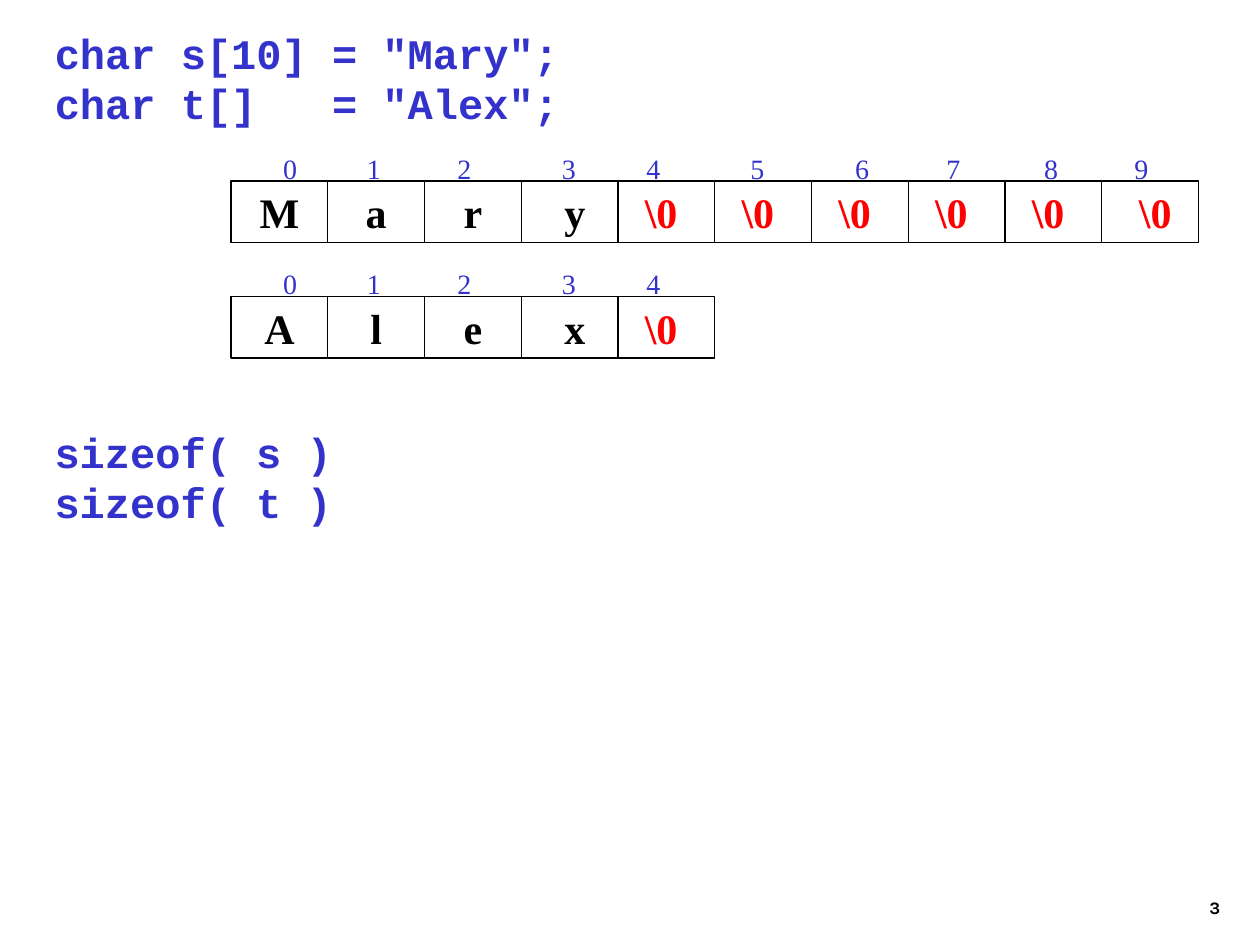
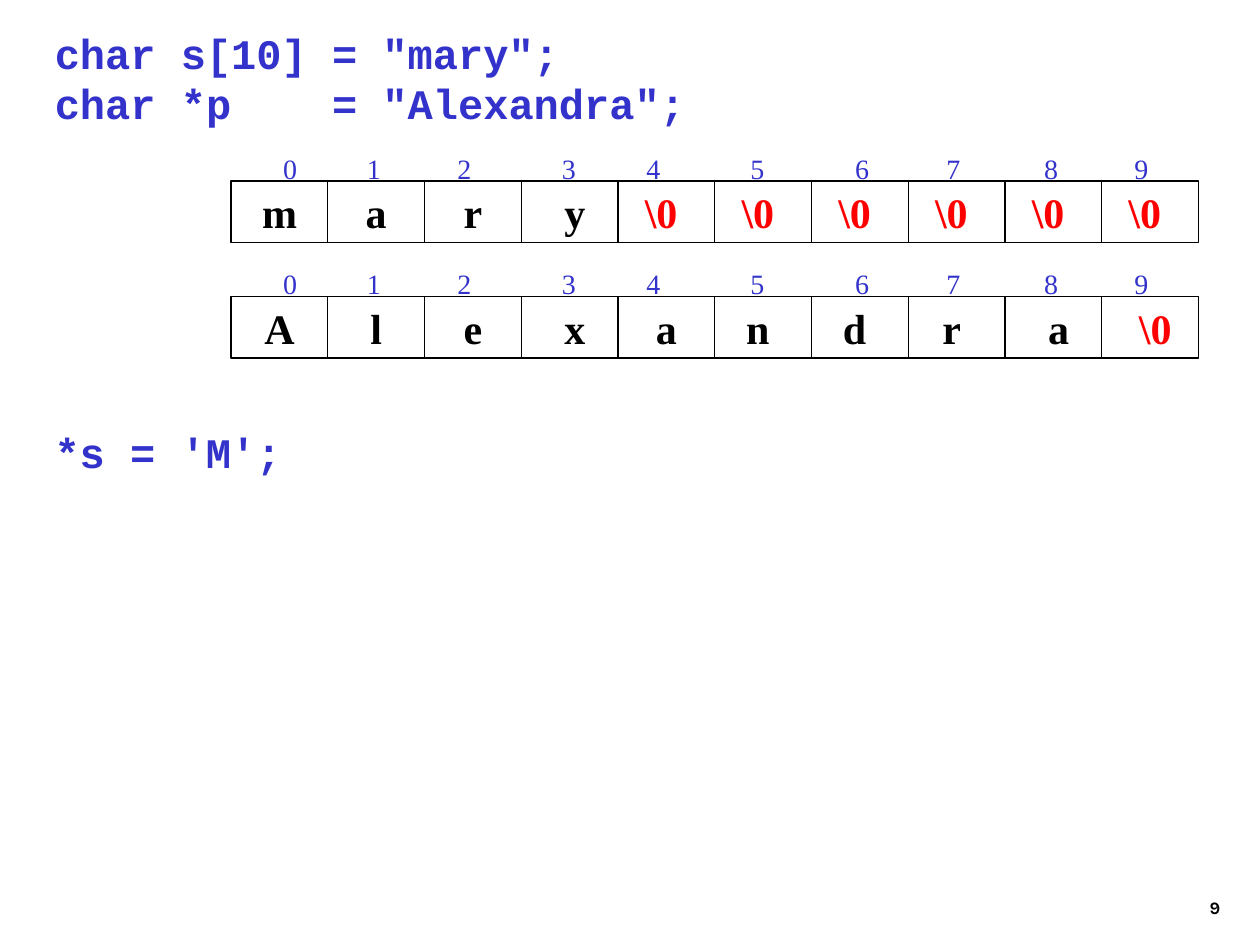
import pptx
import pptx.dml.color
import pptx.enum.shapes
import pptx.enum.text
import pptx.oxml
import pptx.oxml.ns
import pptx.util

Cm = pptx.util.Cm
Pt = pptx.util.Pt
RGBColor = pptx.dml.color.RGBColor
ALIGN = pptx.enum.text.PP_ALIGN
ANCHOR = pptx.enum.text.MSO_ANCHOR

CODE_BLUE = RGBColor(0x33, 0x33, 0xCC)
NULL_RED = RGBColor(0xFF, 0x00, 0x00)
BLACK = RGBColor(0x00, 0x00, 0x00)
CODE_FONT = "Courier New"
CELL_FONT = "Times New Roman"
NUMBER_FONT = "Karla"

DECLARATION_BOX = (0.85, 0.42, 18.84, 2.28)
EXPRESSION_BOX = (0.85, 8.47, 7.41, 2.28)
NUMBER_BOX = (19.56, 17.36, 5.29, 1.27)
ARRAY_LEFT = 4.66
ARRAY_TOPS = (2.77, 5.1)
CELL_WIDTH = 1.95
CELL_HEIGHT = 1.24
INDEX_RISE = 0.88
INDEX_STOPS = (0.94, 2.63, 4.45, 6.56, 8.26, 10.36, 12.47, 14.31, 16.28, 18.1)

SLIDES = (
    {
        "number": "3",
        "declarations": ('char s[10] = "Mary";', 'char t[]   = "Alex";'),
        "expressions": ("sizeof( s )", "sizeof( t )"),
        "arrays": (
            ("M", "a", "r", " y", *[r"\0 "] * 5, r" \0"),
            ("A", "l", "e", " x", r"\0 "),
        ),
    },
    {
        "number": "9",
        "declarations": ('char s[10] = "mary";', 'char *p    = "Alexandra";'),
        "expressions": ("*s = 'M';",),
        "arrays": (
            ("m", "a", "r", " y", *[r"\0 "] * 6),
            ("A", "l", "e", " x", "a", "n ", "d ", "r ", " a", r" \0"),
        ),
    },
)


def write_lines(shape, lines, font, size, color, bold=True, align=ALIGN.LEFT, anchor=ANCHOR.TOP):
    """Fill a shape with one formatted run for each line."""
    frame = shape.text_frame
    frame.auto_size = pptx.enum.text.MSO_AUTO_SIZE.NONE
    frame.word_wrap = True
    frame.vertical_anchor = anchor
    for position, line in enumerate(lines):
        paragraph = frame.add_paragraph() if position else frame.paragraphs[0]
        paragraph.alignment = align
        run = paragraph.add_run()
        run.text = line
        run.font.name = font
        run.font.size = Pt(size)
        run.font.bold = bold
        run.font.color.rgb = color


def add_declarations(slide, box, lines):
    """Place the declarations in the title placeholder."""
    title = slide.shapes.title
    title.left, title.top, title.width, title.height = map(Cm, box)
    write_lines(title, lines, CODE_FONT, 24, CODE_BLUE)


def add_expressions(slide, box, lines):
    """Place the code below the arrays."""
    expressions = slide.shapes.add_textbox(*map(Cm, box))
    write_lines(expressions, lines, CODE_FONT, 24, CODE_BLUE)


def add_number(slide, box, number):
    """Place the slide number at the lower right."""
    footer = slide.shapes.add_textbox(*map(Cm, box))
    write_lines(footer, [number], NUMBER_FONT, 10, BLACK, align=ALIGN.RIGHT, anchor=ANCHOR.BOTTOM)


def add_indices(group, left, top, count):
    """Set the element numbers on centred tab stops."""
    width = CELL_WIDTH * len(INDEX_STOPS)
    indices = group.shapes.add_textbox(Cm(left), Cm(top), Cm(width), Cm(CELL_HEIGHT))
    properties = indices.text_frame.paragraphs[0]._p.get_or_add_pPr()
    tabs = pptx.oxml.parse_xml(f"<a:tabLst {pptx.oxml.ns.nsdecls('a')}/>")
    for stop in INDEX_STOPS[:count]:
        tab = tabs.makeelement(pptx.oxml.ns.qn("a:tab"), {"pos": str(Cm(stop)), "algn": "ctr"})
        tabs.append(tab)
    properties.append(tabs)
    labels = "".join(f"\t{index}" for index in range(count))
    write_lines(indices, [labels], CELL_FONT, 16, CODE_BLUE, bold=False, anchor=ANCHOR.MIDDLE)


def add_cell(group, left, top, character):
    """Draw one array element, with null characters in red."""
    cell = group.shapes.add_shape(
        pptx.enum.shapes.MSO_SHAPE.RECTANGLE, Cm(left), Cm(top), Cm(CELL_WIDTH), Cm(CELL_HEIGHT)
    )
    cell.shadow.inherit = False
    cell.fill.background()
    cell.line.color.rgb = BLACK
    cell.line.width = Pt(0.75)
    color = NULL_RED if r"\0" in character else BLACK
    write_lines(cell, [character], CELL_FONT, 24, color, align=ALIGN.CENTER, anchor=ANCHOR.MIDDLE)
    cell.text_frame.word_wrap = False


def add_array(slide, left, top, characters):
    """Draw an array as a row of cells below its indices."""
    group = slide.shapes.add_group_shape()
    add_indices(group, left, top, len(characters))
    for index, character in enumerate(characters):
        add_cell(group, left + index * CELL_WIDTH, top + INDEX_RISE, character)


def add_string_slide(presentation, content):
    """Build a slide comparing two strings in memory."""
    slide = presentation.slides.add_slide(presentation.slide_layouts.get_by_name("Title Only"))
    add_number(slide, NUMBER_BOX, content["number"])
    add_declarations(slide, DECLARATION_BOX, content["declarations"])
    add_expressions(slide, EXPRESSION_BOX, content["expressions"])
    for top, characters in zip(ARRAY_TOPS, content["arrays"]):
        add_array(slide, ARRAY_LEFT, top, characters)


def main():
    """Build and save the presentation."""
    presentation = pptx.Presentation()
    presentation.slide_width = Cm(25.4)
    presentation.slide_height = Cm(19.05)
    for content in SLIDES:
        add_string_slide(presentation, content)
    presentation.save("out.pptx")


if __name__ == "__main__":
    main()
